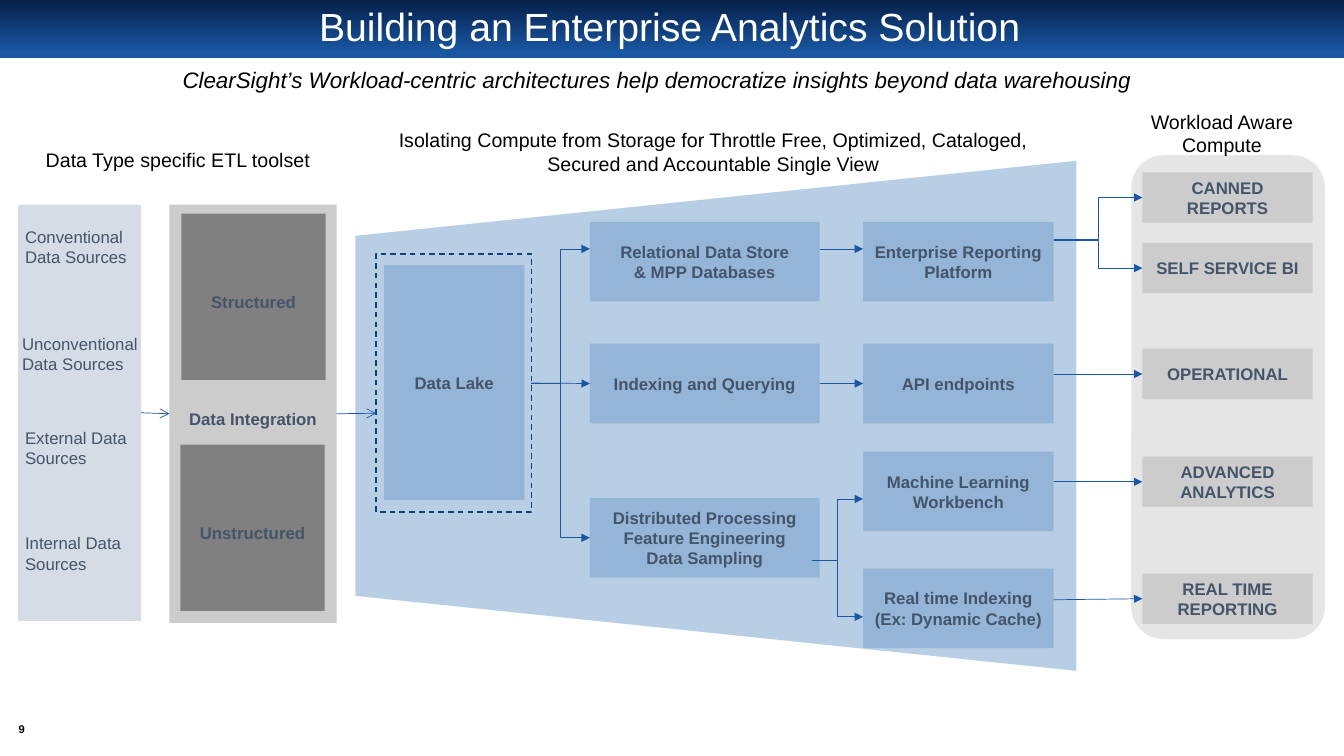
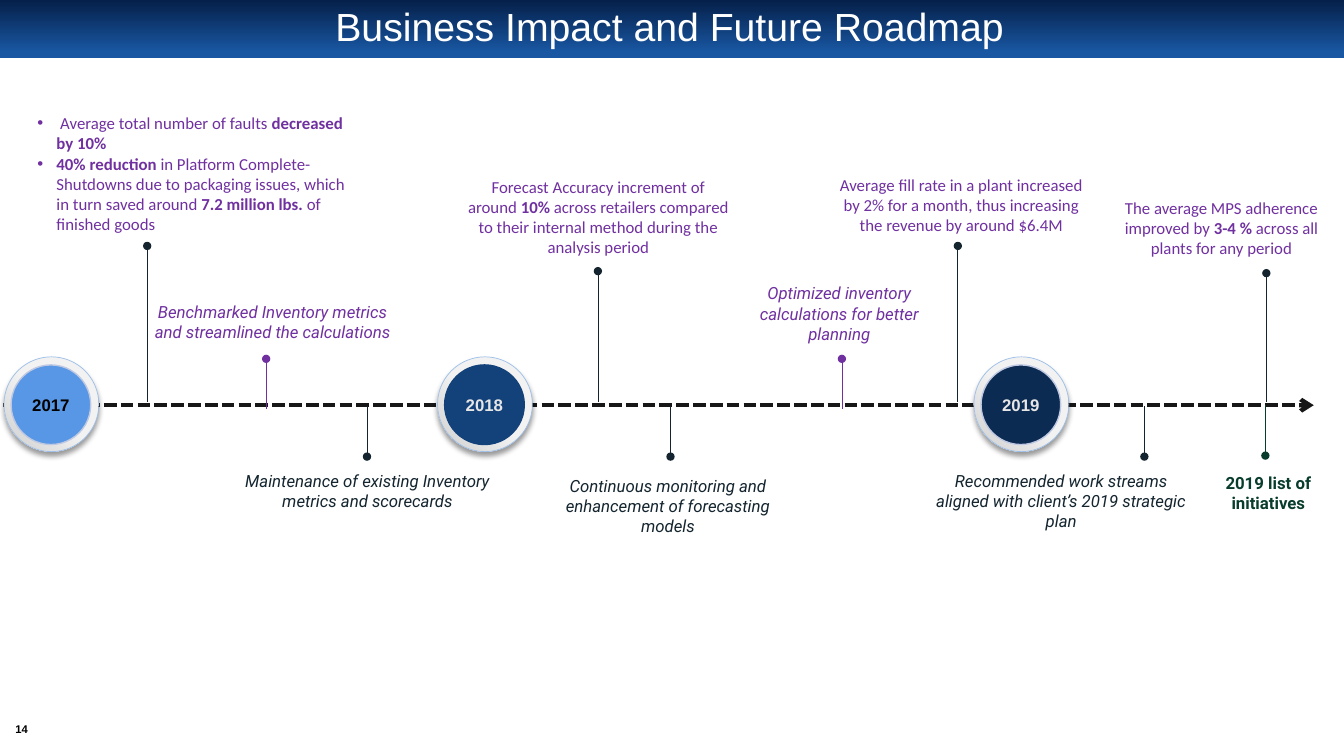
"""Build two slides: an analytics architecture diagram and a roadmap timeline."""
from dataclasses import dataclass
from typing import Union

from lxml import etree
from pptx import Presentation
from pptx import util as u
from pptx.dml.color import RGBColor
from pptx.enum import dml, shapes, text
from pptx.oxml import ns

COLORS = {
    "black": "000000", "white": "FFFFFF", "navy": "052049", "blue": "1957A3",
    "slate": "44546A", "dash": "124079", "funnel": "B8CEE4", "box": "94B5D7",
    "panel": "E5E5E5", "gray": "CCCCCC", "dark_gray": "808080", "sources": "D6DCE5",
    "axis": "181717", "purple": "7030A0", "ink": "14252F", "green": "083C2C",
    "ring_line": "9DBFE9", "ring_dark": "BFBFBF", "ring_light": "F2F2F2",
    "year_line": "BFC8E3", "year_2017": "5797E5", "year_2018": "13417A",
    "year_2019": "0C2B52", "year_text": "E7E6E6",
}
TOP, LEFT, BOTTOM, RIGHT = range(4)
Anchor = tuple[Union[str, float], float]
PRESET = shapes.MSO_SHAPE
CENTER = text.PP_ALIGN.CENTER


@dataclass(frozen=True)
class Box:
    name: str
    label: str
    left: float
    top: float
    width: float
    height: float
    fill: str
    spacing: float = 1.0


@dataclass(frozen=True)
class Link:
    begin: Anchor
    end: Anchor
    elbow: bool = False
    tail: str = "triangle"


@dataclass(frozen=True)
class Style:
    font: str
    color: str
    stem: str
    bold: bool = False
    italic: bool = False


@dataclass(frozen=True)
class Milestone:
    label: str
    left: float
    top: float
    width: float
    lines: int
    style: str


@dataclass(frozen=True)
class Stem:
    x: float
    begin: float
    end: float
    style: str


@dataclass(frozen=True)
class Year:
    label: str
    left: float
    line: str
    color: str


STORE_LEFT, STORE_WIDTH = 5.85, 2.28
PLATFORM_LEFT, PLATFORM_WIDTH = 8.56, 1.89
PLATFORM_RIGHT = PLATFORM_LEFT + PLATFORM_WIDTH
BOX_HEIGHT = 0.79
STORES = [
    ("relational", "Relational Data Store\n& MPP Databases", 2.2),
    ("indexing", "Indexing and Querying", 3.41),
    ("distributed", "Distributed Processing\nFeature Engineering\nData Sampling", 4.94),
]
PLATFORMS = [
    ("reporting", "Enterprise Reporting Platform", 2.2),
    ("api", "API endpoints", 3.41),
    ("learning", "Machine Learning Workbench", 4.48),
    ("realtime", "Real time Indexing\n(Ex: Dynamic Cache)", 5.64),
]
OUTPUTS = [
    ("canned", "CANNED REPORTS", 1.71),
    ("self_service", "SELF SERVICE BI", 2.41),
    ("operational", "OPERATIONAL", 3.46),
    ("advanced", "ADVANCED ANALYTICS", 4.53),
    ("live", "REAL TIME REPORTING", 5.69),
]
BOXES = [
    Box("integration", "Data Integration", 1.68, 2.03, 1.66, 4.15, "gray", 1.5),
    Box("sources", "", 0.18, 2.03, 1.22, 4.13, "sources"),
    Box("structured", "Structured", 1.8, 2.12, 1.43, 1.65, "dark_gray", 1.5),
    Box("unstructured", "Unstructured", 1.79, 4.41, 1.43, 1.65, "dark_gray", 1.5),
    Box("lake", "Data Lake", 3.81, 2.63, 1.39, 2.33, "box"),
    *(Box(name, label, STORE_LEFT, top, STORE_WIDTH, BOX_HEIGHT, "box")
      for name, label, top in STORES),
    *(Box(name, label, PLATFORM_LEFT, top, PLATFORM_WIDTH, BOX_HEIGHT, "box")
      for name, label, top in PLATFORMS),
    *(Box(name, label, 11.33, top, 1.69, 0.5, "gray") for name, label, top in OUTPUTS),
]
LINKS = [
    Link(("sources", RIGHT), ("integration", LEFT), tail="arrow"),
    Link(("integration", RIGHT), (3.73, 4.1), tail="arrow"),
    Link(("zone", RIGHT), (STORE_LEFT, 2.47), elbow=True),
    Link(("zone", RIGHT), ("indexing", LEFT)),
    Link(("zone", RIGHT), ("distributed", LEFT), elbow=True),
    Link((8.13, 2.47), (PLATFORM_LEFT, 2.47)),
    Link(("indexing", RIGHT), ("api", LEFT)),
    Link((8.05, 5.56), (PLATFORM_LEFT, 4.95), elbow=True),
    Link((8.05, 5.56), (PLATFORM_LEFT, 6.12), elbow=True),
    Link((PLATFORM_RIGHT, 2.38), ("canned", LEFT), elbow=True),
    Link((PLATFORM_RIGHT, 2.38), ("self_service", LEFT), elbow=True),
    Link((PLATFORM_RIGHT, 3.71), ("operational", LEFT)),
    Link((PLATFORM_RIGHT, 4.78), ("advanced", LEFT)),
    Link((PLATFORM_RIGHT, 5.95), ("live", LEFT)),
]
SOURCES = [
    ("Conventional Data Sources", 0.15, 2.2, 1.22),
    ("Unconventional Data Sources", 0.12, 3.26, 1.45),
    ("External Data Sources", 0.15, 4.19, 1.45),
    ("Internal Data Sources", 0.15, 5.24, 1.45),
]
HEADINGS = [
    ("Data Type specific ETL toolset", 0.18, 1.42, 3.17, 0.34),
    ("Isolating Compute from Storage for Throttle Free, Optimized, Cataloged, "
     "Secured and Accountable Single View", 3.65, 1.22, 6.85, 0.57),
    ("Workload Aware Compute", 11.1, 1.04, 2.04, 0.57),
]

STYLES = {
    "outcome": Style("Calibri", "purple", "ink"),
    "improvement": Style("Roboto", "purple", "purple", italic=True),
    "activity": Style("Roboto", "ink", "ink", italic=True),
    "plan": Style("Roboto", "green", "green", bold=True),
}
FAULTS = (" Average total number of faults **decreased by 10%**\n"
          "**40% reduction** in Platform Complete-Shutdowns due to packaging issues, "
          "which in turn saved around **7.2 million lbs. **of finished goods")
MILESTONES = [
    Milestone("Forecast Accuracy increment of around **10%** across retailers compared "
              "to their internal method during the analysis period",
              4.52, 1.7, 2.83, 4, "outcome"),
    Milestone("Average fill rate in a plant increased by 2% for a month, thus "
              "increasing the revenue by around $6.4M", 8.17, 1.68, 2.73, 3, "outcome"),
    Milestone("The average MPS adherence improved by** 3-4 %** across all plants for "
              "any period", 10.91, 1.91, 2.41, 3, "outcome"),
    Milestone("Benchmarked Inventory metrics and streamlined the calculations",
              1.36, 2.94, 2.69, 2, "improvement"),
    Milestone("Optimized inventory calculations for better planning",
              7.13, 2.76, 2.39, 3, "improvement"),
    Milestone("Maintenance of existing Inventory metrics and scorecards",
              2.3, 4.62, 2.69, 2, "activity"),
    Milestone("Continuous monitoring and enhancement of forecasting models",
              5.28, 4.67, 2.69, 3, "activity"),
    Milestone("Recommended work streams aligned with client’s 2019 strategic plan",
              9.18, 4.62, 2.69, 3, "activity"),
    Milestone("2019 list of\ninitiatives", 11.88, 4.64, 1.4, 2, "plan"),
]
STEMS = [
    *(Stem(x, begin, 3.99, "outcome")
      for x, begin in ((1.46, 2.44), (5.93, 2.69), (9.5, 2.44), (12.56, 2.71))),
    *(Stem(x, 3.56, 4.06, "improvement") for x in (2.64, 8.35)),
    *(Stem(x, 4.53, 4.03, "activity") for x in (3.64, 6.65, 11.35)),
    Stem(12.55, 4.52, 4.02, "plan"),
]
YEARS = [
    Year("2017", 0.04, "year_line", "black"),
    Year("2018", 4.34, "year_2018", "year_text"),
    Year("2019", 9.66, "year_line", "year_text"),
]


def rgb(name: str) -> RGBColor:
    return RGBColor.from_string(COLORS[name])


def add_xml(parent, tag: str, **attributes: str):
    return etree.SubElement(parent, ns.qn(tag), attributes)


def write(frame, content: str, *, size: float = 12, color: str = "black",
          font: str = "Arial", bold: bool = False, italic: bool = False,
          align=CENTER, spacing: float = 1.0, bullet: bool = False) -> None:
    frame.word_wrap = True
    for index, line in enumerate(content.split("\n")):
        paragraph = frame.add_paragraph() if index else frame.paragraphs[0]
        if bullet:
            properties = paragraph._p.get_or_add_pPr()
            properties.set("marL", str(u.Inches(0.19)))
            properties.set("indent", str(u.Inches(-0.19)))
            add_xml(properties, "a:buFont", typeface="Arial")
            add_xml(properties, "a:buChar", char="•")
        paragraph.alignment = align
        paragraph.line_spacing = spacing
        paragraph.space_before = u.Pt(0)
        for part, words in enumerate(line.split("**")):
            if words:
                run = paragraph.add_run()
                run.text = words
                run.font.name, run.font.size = font, u.Pt(size)
                run.font.bold, run.font.italic = bold or part % 2 == 1, italic
                run.font.color.rgb = rgb(color)


def place(shape, left: float, top: float, width: float, height: float) -> None:
    shape.left, shape.top = u.Inches(left), u.Inches(top)
    shape.width, shape.height = u.Inches(width), u.Inches(height)


def add_text(slide, content: str, left: float, top: float, width: float,
             height: float, **style):
    shape = slide.shapes.add_textbox(*map(u.Inches, (left, top, width, height)))
    write(shape.text_frame, content, **style)
    return shape


def add_shape(slide, preset, left: float, top: float, width: float, height: float,
              fill: str = ""):
    shape = slide.shapes.add_shape(preset, *map(u.Inches, (left, top, width, height)))
    shape.shadow.inherit = False
    shape.line.fill.background()
    if fill:
        shape.fill.solid()
        shape.fill.fore_color.rgb = rgb(fill)
    else:
        shape.fill.background()
    return shape


def add_line(slide, begin: tuple, end: tuple, color: str, width: float = 0.5,
             elbow: bool = False, head: str = "", tail: str = "", dash=None):
    kind = shapes.MSO_CONNECTOR.ELBOW if elbow else shapes.MSO_CONNECTOR.STRAIGHT
    line = slide.shapes.add_connector(kind, *map(u.Inches, (*begin, *end)))
    line.line.color.rgb, line.line.width = rgb(color), u.Pt(width)
    if dash:
        line.line.dash_style = dash
    properties = line.element.spPr
    outline = properties.find(ns.qn("a:ln"))
    for tag, arrow in (("a:headEnd", head), ("a:tailEnd", tail)):
        if arrow:
            add_xml(outline, tag, type=arrow)
    add_xml(properties, "a:effectLst")
    return line


def add_slide(presentation, layout: int, title: str, number: str):
    slide = presentation.slides.add_slide(presentation.slide_layouts[layout])
    place(slide.shapes.title, 0.66, 0.06, 11.96, 0.45)
    frame = slide.shapes.title.text_frame
    frame.vertical_anchor = text.MSO_ANCHOR.MIDDLE
    write(frame, title, size=28, color="white", spacing=0.9)
    page = add_text(slide, number, 0.09, 7.14, 0.25, 0.19, size=8, bold=True).text_frame
    page.margin_left = page.margin_right = page.margin_top = page.margin_bottom = 0
    page.vertical_anchor = text.MSO_ANCHOR.MIDDLE
    return slide


def add_master_band(presentation, slide) -> None:
    band = add_shape(slide, PRESET.RECTANGLE, 0, 0, 13.33, 0.58)
    band.fill.gradient()
    band.fill.gradient_angle = 270
    for stop, color, position in zip(band.fill.gradient_stops, ("navy", "blue"), (0, 0.9)):
        stop.color.rgb, stop.position = rgb(color), position
    presentation.slide_master.shapes[0].element.addprevious(band.element)


def draw_architecture(slide) -> None:
    add_shape(slide, PRESET.ROUNDED_RECTANGLE, 11.22, 1.54, 1.92, 4.8, "panel")
    funnel = add_shape(slide, PRESET.TRAPEZOID, 4.57, 0.55, 5.06, 7.15, "funnel")
    funnel.rotation, funnel.adjustments[0] = 270, 0.147
    drawn = {}
    for box in BOXES:
        shape = add_shape(slide, PRESET.RECTANGLE, box.left, box.top, box.width,
                          box.height, box.fill)
        shape.text_frame.vertical_anchor = text.MSO_ANCHOR.MIDDLE
        write(shape.text_frame, box.label, color="slate", bold=True, spacing=box.spacing)
        drawn[box.name] = shape
    zone = drawn["zone"] = add_shape(slide, PRESET.RECTANGLE, 3.73, 2.52, 1.54, 2.56)
    zone.line.color.rgb, zone.line.width = rgb("dash"), u.Pt(1)
    zone.line.dash_style = dml.MSO_LINE.DASH
    for link in LINKS:
        points = [(0, 0) if anchor[0] in drawn else anchor for anchor in (link.begin, link.end)]
        line = add_line(slide, *points, "blue", elbow=link.elbow, tail=link.tail)
        for (name, side), connect in ((link.begin, line.begin_connect),
                                      (link.end, line.end_connect)):
            if name in drawn:
                connect(drawn[name], side)
    for label, left, top, width in SOURCES:
        add_text(slide, label, left, top, width, 0.5, color="slate", align=text.PP_ALIGN.LEFT)
    for heading in HEADINGS:
        add_text(slide, *heading, size=14)
    add_text(slide, "ClearSight’s Workload-centric architectures help democratize insights "
             "beyond data warehousing", 0.31, 0.61, 12.41, 0.37, size=16, italic=True)


def add_year(slide, year: Year) -> None:
    ring = add_shape(slide, PRESET.OVAL, year.left, 3.54, 0.94, 0.94)
    ring.rotation = 225
    ring.line.color.rgb, ring.line.width = rgb("ring_line"), u.Pt(0.5)
    properties = ring.element.spPr
    gradient = etree.Element(ns.qn("a:gradFill"), rotWithShape="1")
    properties.replace(properties.find(ns.qn("a:noFill")), gradient)
    stops = add_xml(gradient, "a:gsLst")
    for position, color in ((0, "ring_dark"), (50, "ring_light"), (100, "ring_light")):
        stop = add_xml(stops, "a:gs", pos=str(position * 1000))
        add_xml(stop, "a:srgbClr", val=COLORS[color])
    focus = add_xml(gradient, "a:path", path="circle")
    add_xml(focus, "a:fillToRect", l="0", t="100000", r="100000", b="0")
    shadow = add_xml(properties.find(ns.qn("a:effectLst")), "a:outerShdw",
                     blurRad=str(u.Pt(4)), dist=str(u.Pt(3)), dir="5400000", rotWithShape="0")
    add_xml(add_xml(shadow, "a:srgbClr", val=COLORS["black"]), "a:alpha", val="40000")
    disc = add_shape(slide, PRESET.OVAL, year.left + 0.07, 3.62, 0.79, 0.79,
                     f"year_{year.label}")
    disc.line.color.rgb, disc.line.width = rgb(year.line), u.Pt(1)
    disc.text_frame.margin_left = disc.text_frame.margin_right = 0
    disc.text_frame.vertical_anchor = text.MSO_ANCHOR.MIDDLE
    write(disc.text_frame, year.label, color=year.color, bold=True)


def draw_roadmap(slide) -> None:
    add_line(slide, (0.03, 4.02), (13.03, 4.02), "axis", 3, tail="arrow",
             dash=dml.MSO_LINE.SQUARE_DOT)
    faults = slide.placeholders[1]
    place(faults, 0.27, 1.07, 3.37, 1.31)
    write(faults.text_frame, FAULTS, font="Calibri", color="purple",
          align=text.PP_ALIGN.LEFT, bullet=True)
    for stem in STEMS:
        add_line(slide, (stem.x, stem.begin), (stem.x, stem.end), STYLES[stem.style].stem,
                 head="oval")
    for item in MILESTONES:
        style = STYLES[item.style]
        add_text(slide, item.label, item.left, item.top, item.width, 0.1 + 0.2 * item.lines,
                 font=style.font, color=style.color, bold=style.bold, italic=style.italic)
    for year in YEARS:
        add_year(slide, year)


def main() -> None:
    presentation = Presentation()
    presentation.slide_width, presentation.slide_height = u.Inches(13.33), u.Inches(7.5)
    architecture = add_slide(presentation, 5, "Building an Enterprise Analytics Solution", "9")
    add_master_band(presentation, architecture)
    draw_architecture(architecture)
    draw_roadmap(add_slide(presentation, 1, "Business Impact and Future Roadmap", "14"))
    presentation.save("out.pptx")


if __name__ == "__main__":
    main()
